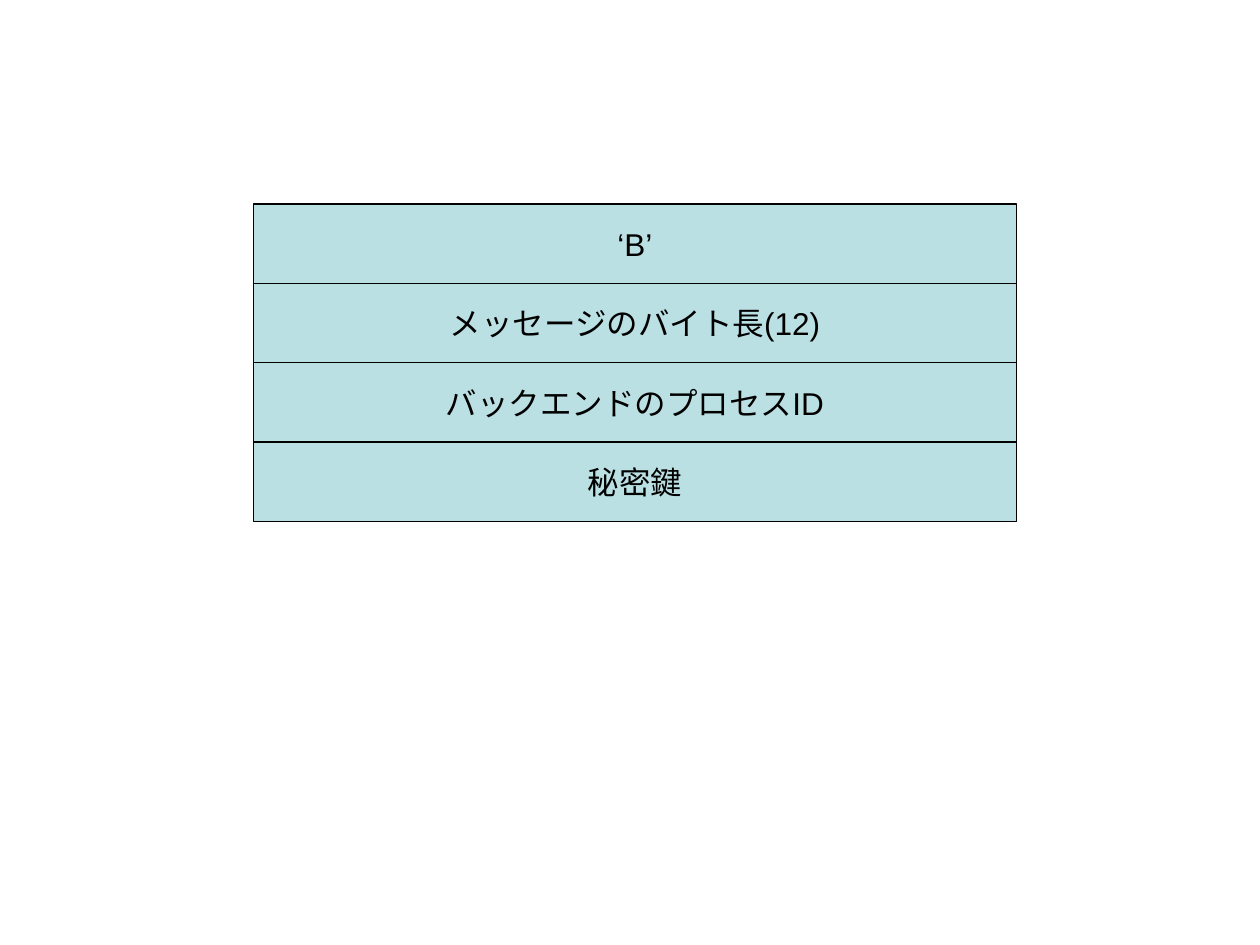
from dataclasses import dataclass

from pptx import Presentation
from pptx.dml.color import RGBColor
from pptx.enum.shapes import MSO_SHAPE as Shape
from pptx.enum.text import MSO_ANCHOR as Anchor, PP_ALIGN as Align
from pptx.slide import Slide
from pptx.util import Inches, Pt

# Fields of the message, from top to bottom
FIELDS = [
    "‘B’",
    "メッセージのバイト長(12)",
    "バックエンドのプロセスID",
    "秘密鍵",
]


def color(hex_text):
    return RGBColor.from_string(hex_text)


@dataclass
class MessageDiagram:
    slide: Slide
    # Grid: one column of equal rows, in inches
    left: float = 2.01
    top: float = 1.62
    column_width: float = 6.06
    row_height: float = 0.63
    # Style
    fill: str = "BBE0E3"
    ink: str = "000000"
    font_name: str = "Arial"
    font_size: float = 18
    line_width: float = 0.75

    def field(self, row, text):
        """Draw one message field in the given grid row."""
        box = self.slide.shapes.add_shape(
            Shape.RECTANGLE,
            Inches(self.left),
            Inches(self.top + row * self.row_height),
            Inches(self.column_width),
            Inches(self.row_height),
        )
        box.shadow.inherit = False
        box.fill.solid()
        box.fill.fore_color.rgb = color(self.fill)
        box.line.color.rgb = color(self.ink)
        box.line.width = Pt(self.line_width)
        self.label(box.text_frame, text)

    def label(self, frame, text):
        """Write centred text in a field."""
        frame.word_wrap = False
        frame.vertical_anchor = Anchor.MIDDLE
        para = frame.paragraphs[0]
        para.alignment = Align.CENTER
        span = para.add_run()
        span.text = text
        span.font.name = self.font_name
        span.font.size = Pt(self.font_size)
        span.font.color.rgb = color(self.ink)


def main():
    deck = Presentation()
    deck.slide_width, deck.slide_height = Inches(10), Inches(7.5)
    diagram = MessageDiagram(deck.slides.add_slide(deck.slide_layouts[6]))

    # Stacked message fields
    for row, text in enumerate(FIELDS):
        diagram.field(row, text)

    deck.save("out.pptx")


if __name__ == "__main__":
    main()
